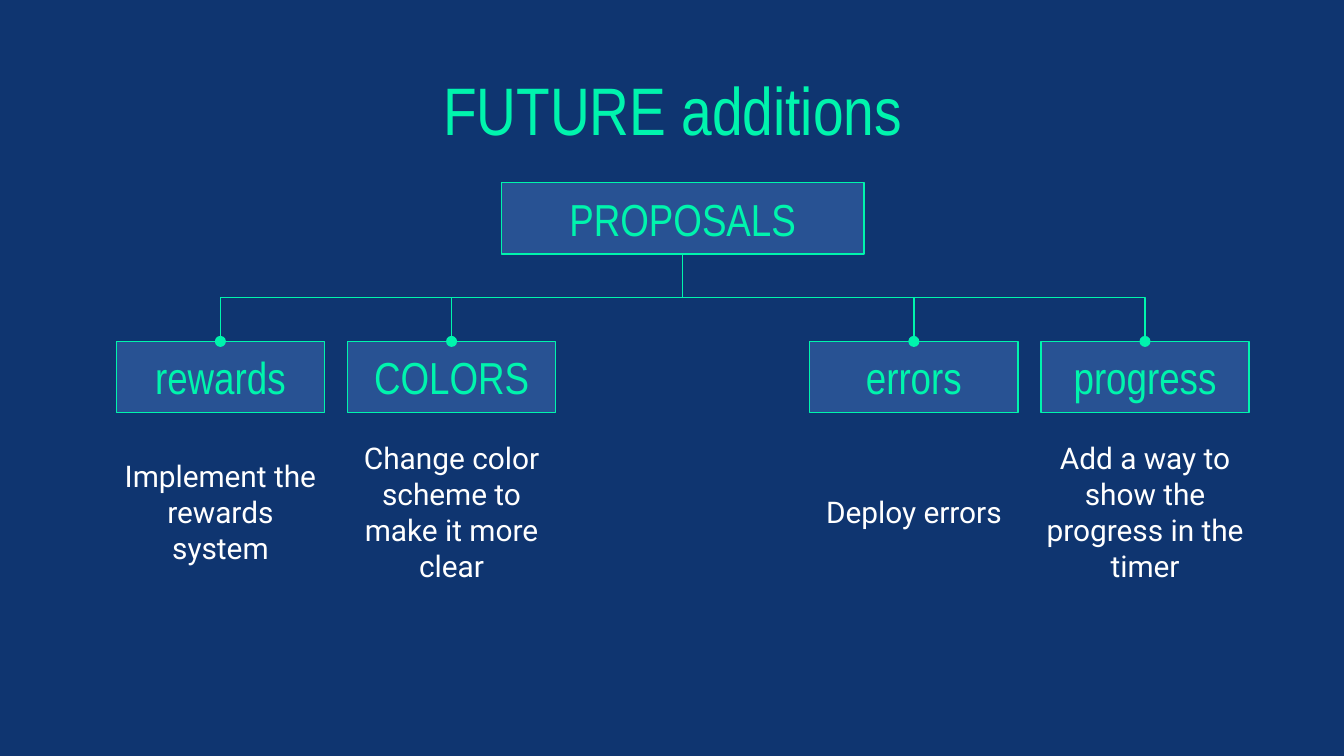
from lxml import etree
from pptx import Presentation
from pptx.dml.color import RGBColor
from pptx.enum.shapes import MSO_CONNECTOR, MSO_SHAPE
from pptx.enum.text import MSO_ANCHOR, PP_ALIGN
from pptx.oxml.ns import qn
from pptx.util import Inches, Pt

NAVY = RGBColor(0x0F, 0x35, 0x70)
BLUE = RGBColor(0x28, 0x52, 0x93)
GREEN = RGBColor(0x00, 0xF4, 0xAD)
WHITE = RGBColor(0xFF, 0xFF, 0xFF)


def set_text(sp, text, font, size, color, inset=0, anchor=MSO_ANCHOR.MIDDLE):
    tf = sp.text_frame
    tf.text = text
    tf.word_wrap = True
    tf.vertical_anchor = anchor
    tf.margin_left = tf.margin_right = Inches(inset)
    tf.margin_top = tf.margin_bottom = Inches(inset)
    p = tf.paragraphs[0]
    p.alignment = PP_ALIGN.CENTER
    r = p.runs[0]
    r.font.name, r.font.size = font, Pt(size)
    r.font.color.rgb = color


def add_box(shapes, text, center, top, width):
    sp = shapes.add_shape(MSO_SHAPE.RECTANGLE, Inches(center - width / 2),
                          Inches(top), Inches(width), Inches(BOX_H))
    sp.shadow.inherit = False
    sp.fill.solid()
    sp.fill.fore_color.rgb = BLUE
    sp.line.color.rgb = GREEN
    sp.line.width = Pt(0.75)
    set_text(sp, text, "Arial Narrow", 24, GREEN, inset=0.1)


# Slide in 16:9
prs = Presentation()
prs.slide_width, prs.slide_height = Inches(10), Inches(10 * 9 / 16)
s = prs.slides.add_slide(prs.slide_layouts[5])
s.background.fill.solid()
s.background.fill.fore_color.rgb = NAVY

# Title
title = s.shapes.title
title.left, title.top = Inches(0.79), Inches(0.51)
title.width, title.height = Inches(8.43), Inches(0.53)
set_text(title, "FUTURE additions", "Arial Narrow", 36, GREEN,
         anchor=MSO_ANCHOR.TOP)

# Root of the tree
CENTER, PITCH = 5.08, 1.72
ROOT_TOP, BOX_TOP, BOX_H, BOX_W = 1.36, 2.54, 0.53, 1.55
add_box(s.shapes, "PROPOSALS", CENTER, ROOT_TOP, 2.7)

# Branches: column offset from the root, heading, description
branches = [
    (-2, "rewards", "Implement the rewards system"),
    (-1, "COLORS", "Change color scheme to make it more clear"),
    (1, "errors", "Deploy errors"),
    (2, "progress", "Add a way to show the progress in the timer"),
]
for col, heading, description in branches:
    x = CENTER + col * PITCH
    group = s.shapes.add_group_shape()
    add_box(group.shapes, heading, x, BOX_TOP, BOX_W)
    tb = group.shapes.add_textbox(Inches(x - BOX_W / 2), Inches(3.18),
                                  Inches(BOX_W), Inches(1.25))
    set_text(tb, description, "Roboto", 16, WHITE)

# Elbow connectors, laid out sideways and turned a quarter to leave vertically
root_bottom = ROOT_TOP + BOX_H
mid_y = (root_bottom + BOX_TOP) / 2
for col, _, _ in branches:
    side = 1 if col > 0 else -1
    mid_x = CENTER + col * PITCH / 2
    dx = side * (BOX_TOP - root_bottom) / 2
    dy = abs(col) * PITCH / 2
    cn = s.shapes.add_connector(MSO_CONNECTOR.ELBOW,
                                Inches(mid_x + dx), Inches(mid_y - dy),
                                Inches(mid_x - dx), Inches(mid_y + dy))
    cn.line.color.rgb = GREEN
    cn.line.width = Pt(0.75)
    spPr = cn._element.spPr
    spPr.find(qn("a:xfrm")).set("rot", str((90 if side > 0 else 270) * 60000))
    etree.SubElement(cn.line._get_or_add_ln(), qn("a:headEnd"), type="oval")
    etree.SubElement(spPr, qn("a:effectLst"))

prs.save("out.pptx")
